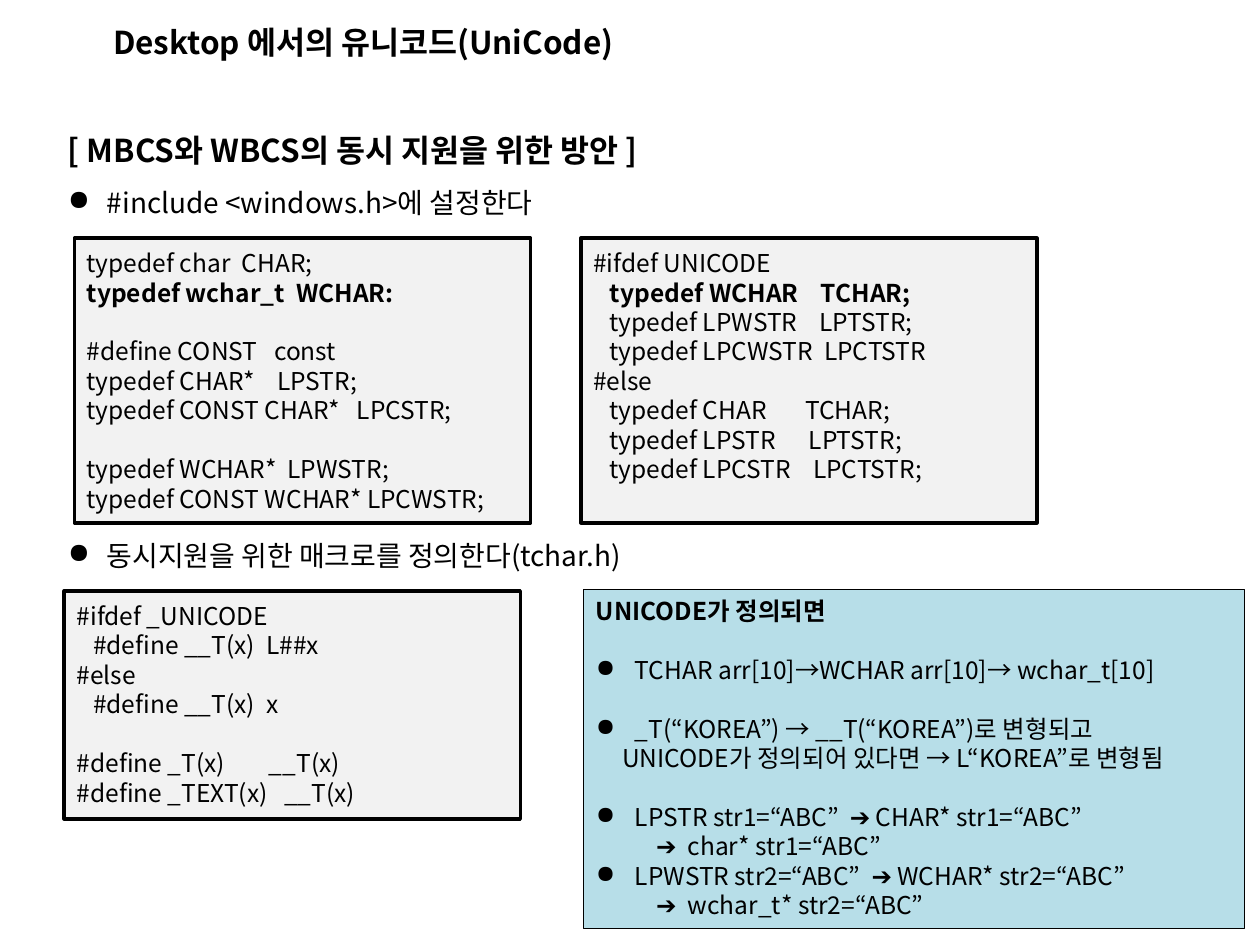
import pptx
import pptx.util
import pptx.dml.color
import pptx.enum.shapes
import pptx.enum.text
import pptx.oxml.ns
import lxml.etree

Inches = pptx.util.Inches
Pt = pptx.util.Pt
RGBColor = pptx.dml.color.RGBColor

BLACK = RGBColor(0x00, 0x00, 0x00)
CODE_FILL = RGBColor(0xF2, 0xF2, 0xF2)
NOTE_FILL = RGBColor(0xB7, 0xDE, 0xE8)
FONT = "Noto Sans CJK KR"
BULLET_INDENT = 0.31
LINE_RATIO = 1.2
CODE_SIZE = 14
CODE_GAP = CODE_SIZE * LINE_RATIO

TYPE_CODE = """typedef char  CHAR;
typedef wchar_t  WCHAR:

#define CONST   const
typedef CHAR*    LPSTR;
typedef CONST CHAR*   LPCSTR;

typedef WCHAR*  LPWSTR;
typedef CONST WCHAR* LPCWSTR;"""

SWITCH_CODE = """#ifdef UNICODE
   typedef WCHAR    TCHAR;
   typedef LPWSTR    LPTSTR;
   typedef LPCWSTR  LPCTSTR
#else
   typedef CHAR       TCHAR;
   typedef LPSTR      LPTSTR;
   typedef LPCSTR    LPCTSTR;"""

MACRO_CODE = """#ifdef _UNICODE
   #define __T(x)  L##x
#else
   #define __T(x)  x

#define _T(x)        __T(x)
#define _TEXT(x)   __T(x)"""


def add_para(frame, text, size=CODE_SIZE, bold=False, bullet=False,
             indent=0, before=0, spacing=None):
    para = frame.paragraphs[0]
    if para.runs:
        para = frame.add_paragraph()
    para.alignment = pptx.enum.text.PP_ALIGN.LEFT
    para.space_before = Pt(before)
    if spacing:
        para.line_spacing = spacing
    props = para._p.get_or_add_pPr()
    if bullet:
        indent = BULLET_INDENT
        props.set("indent", str(-Inches(indent)))
        mark = lxml.etree.SubElement(props, pptx.oxml.ns.qn("a:buChar"))
        mark.set("char", "●")
    if indent:
        props.set("marL", str(Inches(indent)))
    span = para.add_run()
    span.text = text
    span.font.name = FONT
    span.font.size = Pt(size)
    span.font.bold = bold
    span.font.color.rgb = BLACK
    asian = lxml.etree.SubElement(span._r.get_or_add_rPr(), pptx.oxml.ns.qn("a:ea"))
    asian.set("typeface", FONT)


def add_text(page, left, top, width, height):
    box = page.shapes.add_textbox(Inches(left), Inches(top), Inches(width), Inches(height))
    box.text_frame.word_wrap = True
    return box.text_frame


def add_panel(page, left, top, width, height, fill, line_width, margin_top):
    panel = page.shapes.add_shape(
        pptx.enum.shapes.MSO_SHAPE.RECTANGLE,
        Inches(left), Inches(top), Inches(width), Inches(height))
    panel.shadow.inherit = False
    panel.fill.solid()
    panel.fill.fore_color.rgb = fill
    panel.line.color.rgb = BLACK
    panel.line.width = Pt(line_width)
    frame = panel.text_frame
    frame.word_wrap = True
    frame.vertical_anchor = pptx.enum.text.MSO_ANCHOR.TOP
    frame.margin_top = Inches(margin_top)
    return frame


def add_title(page, left, top, width, height):
    frame = add_text(page, left, top, width, height)
    add_para(frame, "Desktop 에서의 유니코드(UniCode)", size=18, bold=True)


def add_outline(page, left, top, width, height):
    frame = add_text(page, left, top, width, height)
    size, spacing = 16, 1.5
    code_room = 6 * size * LINE_RATIO * spacing
    add_para(frame, "[ MBCS와 WBCS의 동시 지원을 위한 방안 ]",
             size=18, bold=True, spacing=spacing)
    add_para(frame, "#include <windows.h>에 설정한다",
             size=size, bullet=True, spacing=spacing)
    add_para(frame, "동시지원을 위한 매크로를 정의한다(tchar.h)",
             size=size, bullet=True, spacing=spacing, before=code_room)


def add_code(page, left, top, width, height, code, bold_line=None):
    frame = add_panel(page, left, top, width, height, CODE_FILL, 2, 0.08)
    before = 0
    for number, line in enumerate(code.splitlines()):
        if line:
            add_para(frame, line, bold=number == bold_line, before=before)
            before = 0
        else:
            before = CODE_GAP


def add_note(page, left, top, width, height):
    frame = add_panel(page, left, top, width, height, NOTE_FILL, 0.75, 0.05)
    add_para(frame, "UNICODE가 정의되면", bold=True)
    add_para(frame, "TCHAR arr[10]→WCHAR arr[10]→ wchar_t[10]",
             bullet=True, before=CODE_GAP)
    add_para(frame, "_T(“KOREA”) → __T(“KOREA”)로 변형되고",
             bullet=True, before=CODE_GAP)
    add_para(frame, "UNICODE가 정의되어 있다면 → L“KOREA”로 변형됨", indent=0.21)
    add_para(frame, "LPSTR str1=“ABC”  ➔ CHAR* str1=“ABC”",
             bullet=True, before=CODE_GAP)
    add_para(frame, "➔  char* str1=“ABC”", indent=0.48)
    add_para(frame, "LPWSTR str2=“ABC”  ➔ WCHAR* str2=“ABC”", bullet=True)
    add_para(frame, "➔  wchar_t* str2=“ABC”", indent=0.48)


def main():
    deck = pptx.Presentation()
    deck.slide_width = Inches(10)
    deck.slide_height = Inches(7.5)
    page = deck.slides.add_slide(deck.slide_layouts[6])
    add_title(page, 0.8, 0.13, 4.46, 0.4)
    add_outline(page, 0.44, 0.84, 5.21, 4.19)
    add_code(page, 0.59, 1.89, 3.62, 2.26, TYPE_CODE, bold_line=1)
    add_code(page, 4.61, 1.89, 3.62, 2.26, SWITCH_CODE, bold_line=1)
    add_code(page, 0.51, 4.69, 3.62, 1.81, MACRO_CODE)
    add_note(page, 4.63, 4.68, 5.25, 2.69)
    deck.save("out.pptx")


if __name__ == "__main__":
    main()
